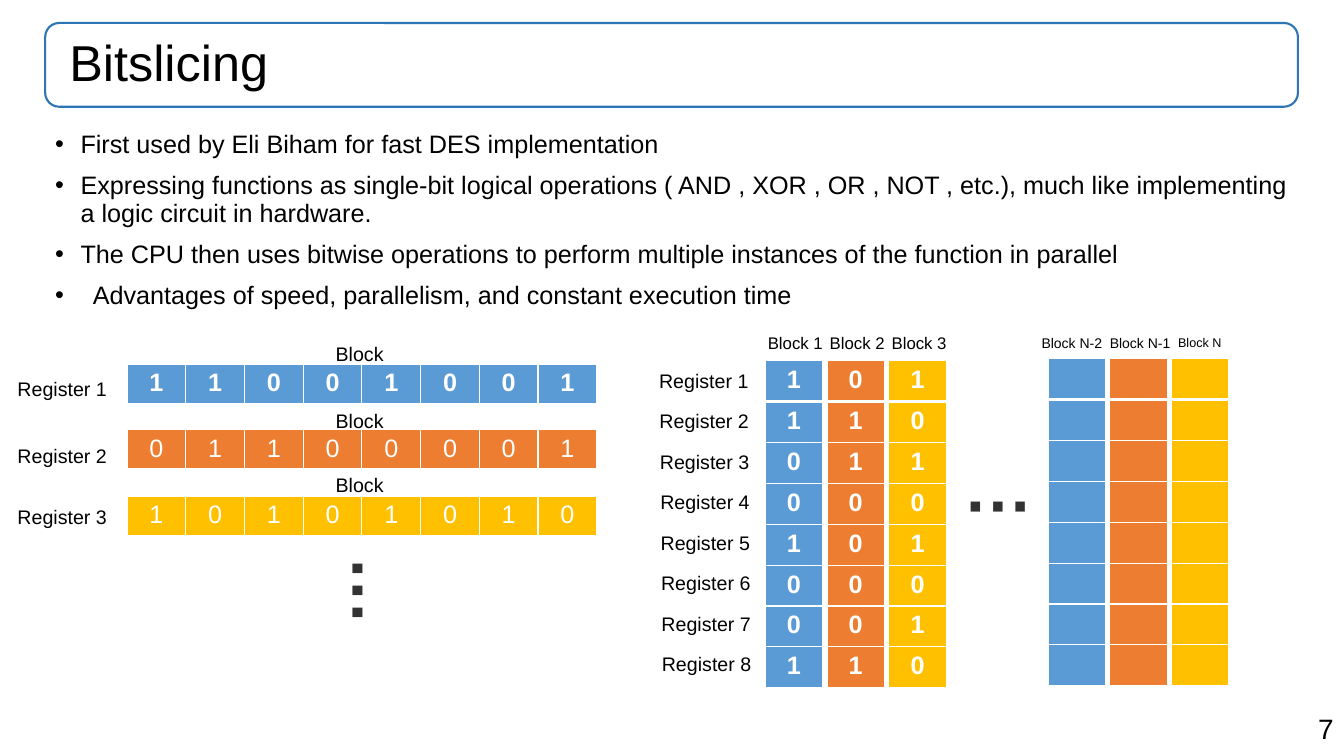
from lxml import etree
from pptx import Presentation
from pptx.dml.color import RGBColor
from pptx.enum.shapes import MSO_SHAPE
from pptx.enum.text import MSO_ANCHOR, PP_ALIGN
from pptx.oxml.ns import qn
from pptx.util import Cm, Pt

ROUND = MSO_SHAPE.ROUNDED_RECTANGLE
MIDDLE = MSO_ANCHOR.MIDDLE
LEFT, CENTER, RIGHT = PP_ALIGN.LEFT, PP_ALIGN.CENTER, PP_ALIGN.RIGHT

COLORS = {
    "blue": "5B9BD5", "orange": "ED7D31", "gold": "FFC000",
    "frame": "2E75B6", "dots": "333333", "black": "000000", "white": "FFFFFF",
}
HUES = ["blue", "orange", "gold"]
RGB = {name: RGBColor.from_string(code) for name, code in COLORS.items()}
BITS = ["11001001", "01100001", "10101010"]

deck = Presentation()
deck.slide_width, deck.slide_height = Cm(33.87), Cm(19.05)
slide = deck.slides.add_slide(deck.slide_layouts[6])
shapes = slide.shapes


def add_text(text, x, y, w, h, size, color="black", bold=False, align=LEFT, wrap=True):
    box = shapes.add_textbox(Cm(x), Cm(y), Cm(w), Cm(h))
    box.text_frame.word_wrap = wrap
    para = box.text_frame.paragraphs[0]
    para.text = text
    para.alignment = align
    para.font.name, para.font.size, para.font.bold = "Arial", Pt(size), bold
    para.font.color.rgb = RGB[color]
    return box


def add_bits(rows, x, y, w, h, hue, bold):
    """Table of bits with white cell borders, heavier below the first row."""
    count, width = len(rows), len(rows[0])
    table = shapes.add_table(count, width, Cm(x), Cm(y), Cm(w * width), Cm(h * count)).table
    table.first_row = table.horz_banding = False
    for col in table.columns:
        col.width = Cm(w)
    for i, row in enumerate(rows):
        table.rows[i].height = Cm(h)
        for j, bit in enumerate(row):
            cell = table.cell(i, j)
            para = cell.text_frame.paragraphs[0]
            para.text = bit.strip()
            para.alignment = CENTER
            para.font.name, para.font.size, para.font.bold = "Arial", Pt(18), bold
            para.font.color.rgb = RGB["white"]
            props = cell._tc.get_or_add_tcPr()
            heavy = {0: "lnB", 1: "lnT"}.get(i)
            for side in ("lnL", "lnR", "lnT", "lnB"):
                line = etree.SubElement(props, qn("a:" + side))
                line.set("w", str(Pt(3 if side == heavy else 1)))
                paint = etree.SubElement(line, qn("a:solidFill"))
                etree.SubElement(paint, qn("a:srgbClr")).set("val", COLORS["white"])
            cell.fill.solid()
            cell.fill.fore_color.rgb = RGB[hue]


# Page number and title
add_text("7", 23.95, 17.8, 9.91, 1.12, 20, align=RIGHT)
frame = shapes.add_shape(ROUND, Cm(1.14), Cm(0.58), Cm(31.57), Cm(2.11))
frame.shadow.inherit = False
frame.fill.background()
frame.line.color.rgb = RGB["frame"]
frame.line.width = Pt(1.5)
title = add_text("Bitslicing", 1.14, 0.58, 31.57, 2.11, 36).text_frame
title.vertical_anchor = MIDDLE
title.margin_left = Cm(0.61)
title.paragraphs[0].line_spacing = 0.9

# Bullet points, each with its hanging indent
points = [
    ("First used by Eli Biham for fast DES implementation", 0.64),
    ("Expressing functions as single-bit logical operations ( AND , XOR , OR , NOT , etc.), "
     "much like implementing a logic circuit in hardware.", 0.64),
    ("The CPU then uses bitwise operations to perform multiple instances of the function "
     "in parallel", 0.64),
    ("Advantages of speed, parallelism, and constant execution time", 0.95),
]
body = shapes.add_textbox(Cm(1.14), Cm(3.2), Cm(31.57), Cm(5)).text_frame
body.word_wrap = True
for i, (text, indent) in enumerate(points):
    para = body.add_paragraph() if i else body.paragraphs[0]
    para.text = text
    props = para._p.get_or_add_pPr()
    props.set("marL", str(Cm(indent)))
    props.set("indent", str(-Cm(indent)))
    etree.SubElement(props, qn("a:buFont")).set("typeface", "Arial")
    etree.SubElement(props, qn("a:buChar")).set("char", "•")
    para.line_spacing = 0.9
    if i:
        para.space_before = Pt(10)
    para.font.name, para.font.size = "Arial", Pt(18)
    para.font.color.rgb = RGB["black"]

# Left: one block per register
tops = [(9.17, 9.37, 8.48), (10.82, 11.05, 10.19), (12.5, 12.6, 11.79)]
for i, (top, reg, head) in enumerate(tops):
    add_bits([BITS[i]], 3.2, top, 1.48, 1.03, HUES[i], i == 0)
    add_text(f"Register {i + 1}", 0.19, reg, 2.77, 0.86, 14, wrap=False)
    add_text("Block", 8.21, head, 1.73, 0.86, 14, wrap=False)

# Right: bits of each block spread over the registers
heads = [("Block N-2", 10), ("Block N-1", 10), ("Block N", 9)]
for i, hue in enumerate(HUES):
    add_bits(BITS[i], 19.28 + 1.56 * i, 9.09, 1.45, 1.03, hue, True)
    add_bits(" " * 8, 26.42 + 1.55 * i, 9.04, 1.45, 1.03, hue, True)
    add_text(f"Block {i + 1}", 19.1 + 1.56 * i, 8.27, 2.11, 0.76, 12)
    name, size = heads[i]
    add_text(name, 26 + 1.72 * i, 8.31, 2.54, 0.69, size)
for i in range(8):
    add_text(f"Register {i + 1}", 16.36 + 0.01 * i, 9.17 + 1.02 * i, 2.77, 0.86, 14, wrap=False)

# Dots for the blocks left out
for x, y, turn in [(7.85, 13.94, 90), (24.1, 11.53, 0)]:
    add_text("···", x, y, 2.51, 2.31, 48, "dots", True).rotation = turn

deck.save("out.pptx")
